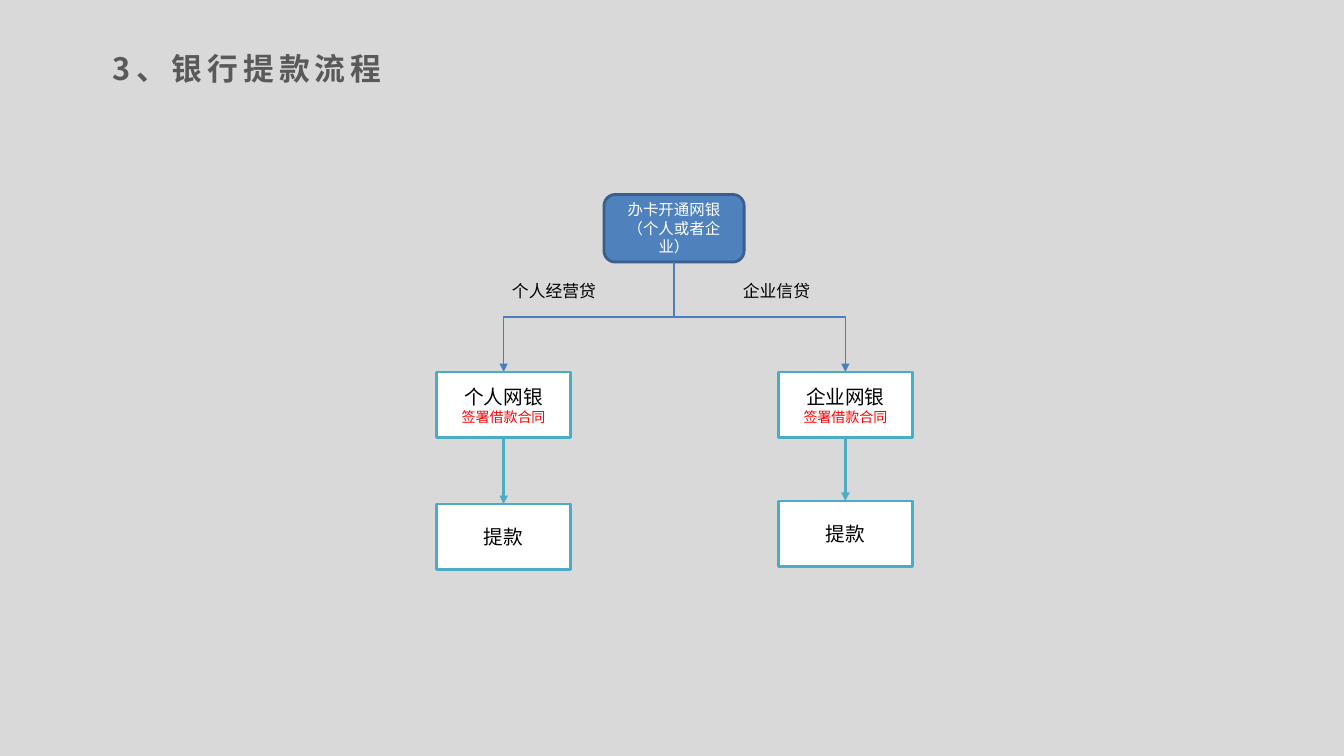
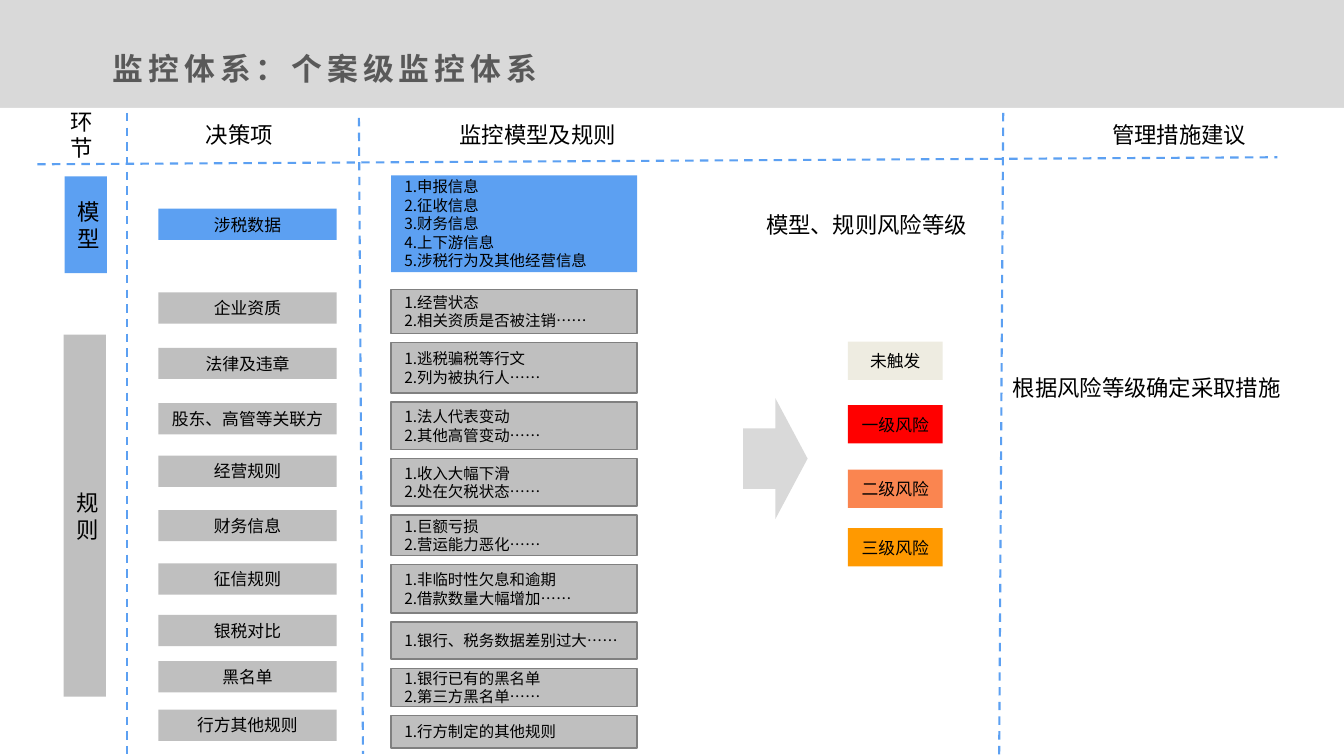
from lxml import etree
from pptx import Presentation
from pptx.dml.color import RGBColor
from pptx.enum.dml import MSO_LINE
from pptx.enum.shapes import MSO_CONNECTOR, MSO_SHAPE
from pptx.enum.text import MSO_ANCHOR, MSO_AUTO_SIZE, PP_ALIGN
from pptx.oxml.ns import qn
from pptx.util import Emu, Pt

RECT = MSO_SHAPE.RECTANGLE
PROCESS = MSO_SHAPE.FLOWCHART_PROCESS
ROUNDED = MSO_SHAPE.FLOWCHART_ALTERNATE_PROCESS
RIGHT_ARROW = MSO_SHAPE.RIGHT_ARROW
STRAIGHT, ELBOW = MSO_CONNECTOR.STRAIGHT, MSO_CONNECTOR.ELBOW
LEFT, CENTER = PP_ALIGN.LEFT, PP_ALIGN.CENTER
TOP, MIDDLE = MSO_ANCHOR.TOP, MSO_ANCHOR.MIDDLE
BOTTOM_SITE, TOP_SITE = 2, 0

PX = 9144  # 100 px to the inch
SLIDE_W, SLIDE_H = 1333, 750
CJK, LATIN = "Noto Sans CJK SC", "Calibri"
BLACK, WHITE, RED = "000000", "FFFFFF", "FF0000"
BACKDROP, TITLE_GREY = "D9D9D9", "595959"
BLUE, GREY, GREY_EDGE = "5CA0F2", "BFBFBF", "808080"
START_FILL, START_EDGE, BRANCH_LINE, TEAL = "4F81BD", "3A5F8C", "4B7EBC", "4BACC6"
NARROW, WIDE = (10, 5), (13, 7)  # text insets: sides, top and bottom

# Withdrawal flow
FLOW_TITLE = "3、银行提款流程"
START = "办卡开通网银（个人或者企业）"
START_BOX = (599, 193, 139, 67)
SIGNING, WITHDRAWAL = "签署借款合同", "提款"
BRANCH_W, BRANCH_H, BANK_TOP = 133, 65, 369
# loan type, its left, online bank, branch left, withdrawal top
BRANCHES = [
    ("个人经营贷", 498, "个人网银", 433, 500),
    ("企业信贷", 727, "企业网银", 772, 497),
]

# Monitoring system
MONITOR_TITLE = "监控体系：个案级监控体系"
BODY_TOP = 107
HEADINGS = [
    ("环节", (46, 118, 70, 31)),
    ("决策项", (163, 117, 149, 32)),
    ("监控模型及规则", (415, 117, 237, 32)),
    ("模型、规则风险等级", (737, 206, 245, 34)),
    ("管理措施建议", (1049, 117, 241, 32)),
    ("根据风险等级确定采取措施", (971, 367, 333, 35)),
]
STAGES = [
    ("模型", (64, 175, 42, 96), BLUE),
    ("规则", (63, 332, 42, 359), GREY),
]
DIVIDERS = [
    (37, 163, 1267, 156),
    (126, 112, 126, 750),
    (356, 117, 360, 748),
    (995, 112, 991, 750),
]
DECISION_X, DECISION_W, DECISION_H = 157, 177, 31
CHECK_X, CHECK_W, CHECK_GAP = 388, 244, 9
MODEL = ("涉税数据", 207)
MODEL_TOP, MODEL_H = 174, 96
MODEL_DATA = ["申报信息", "征收信息", "财务信息", "上下游信息", "涉税行为及其他经营信息"]
CHECKS_TOP = 287
# decision item, its top, height of its checks, checks
RULES = [
    ("企业资质", 290, 44, ["经营状态", "相关资质是否被注销……"]),
    ("法律及违章", 345, 50, ["逃税骗税等行文", "列为被执行人……"]),
    ("股东、高管等关联方", 400, 47, ["法人代表变动", "其他高管变动……"]),
    ("经营规则", 452, 47, ["收入大幅下滑", "处在欠税状态……"]),
    ("财务信息", 506, 40, ["巨额亏损", "营运能力恶化……"]),
    ("征信规则", 559, 48, ["非临时性欠息和逾期", "借款数量大幅增加……"]),
    ("银税对比", 610, 37, ["银行、税务数据差别过大……"]),
    ("黑名单", 656, 38, ["银行已有的黑名单", "第三方黑名单……"]),
    ("行方其他规则", 704, 32, ["行方制定的其他规则"]),
]
RISK_ARROW = (737, 395, 64, 120)
RISK_X, RISK_W, RISK_H = 841, 94, 38
RISK_LEVELS = [
    ("未触发", 339, "EEECE1"),
    ("一级风险", 402, RED),
    ("二级风险", 466, "FA8550"),
    ("三级风险", 524, "FF9900"),
]


def px(*lengths):
    return [Emu(round(length * PX)) for length in lengths]


def rgb(color):
    return RGBColor.from_string(color)


def style_font(font, name, size, color):
    font.name, font.size = name, Pt(size)
    font.color.rgb = rgb(color)


def set_east_asian(properties, name):
    """Name the East Asian font right after the Latin one."""
    latin = properties.find(qn("a:latin"))
    east_asian = etree.Element(qn("a:ea"), typeface=name)
    latin.addnext(east_asian)


def set_frame(frame, insets, anchor):
    frame.word_wrap = True
    frame.auto_size = MSO_AUTO_SIZE.NONE
    frame.vertical_anchor = anchor
    side, edge = px(*insets)
    frame.margin_left = frame.margin_right = side
    frame.margin_top = frame.margin_bottom = edge


def write(shape, lines, font=CJK, insets=WIDE, align=CENTER, anchor=MIDDLE):
    """Fill a shape with lines given as (text, size, colour)."""
    frame = shape.text_frame
    set_frame(frame, insets, anchor)
    for index, (text, size, color) in enumerate(lines):
        paragraph = frame.paragraphs[0] if index == 0 else frame.add_paragraph()
        paragraph.text = text
        paragraph.alignment = align
        style_font(paragraph.font, font, size, color)
        set_east_asian(paragraph._p.pPr.find(qn("a:defRPr")), font)


def add_box(slide, place, fill, edge=None, weight=1, kind=RECT):
    box = slide.shapes.add_shape(kind, *px(*place))
    box.shadow.inherit = False
    box.fill.solid()
    box.fill.fore_color.rgb = rgb(fill)
    if edge:
        box.line.color.rgb = rgb(edge)
        box.line.width = Pt(weight)
    else:
        box.line.fill.background()
    return box


def add_line(slide, ends, color, weight, kind=STRAIGHT, dashed=False, arrow=False):
    line = slide.shapes.add_connector(kind, *px(*ends))
    line.line.color.rgb = rgb(color)
    line.line.width = Pt(weight)
    if dashed:
        line.line.dash_style = MSO_LINE.DASH
    if arrow:
        etree.SubElement(line.line._get_or_add_ln(), qn("a:tailEnd"), type="triangle")
    etree.SubElement(line._element.spPr, qn("a:effectLst"))
    return line


def add_branch_line(slide, x1, y1, x2, y2):
    """Elbow arrow that leaves downwards: a sideways elbow turned a quarter."""
    mid_x, mid_y = (x1 + x2) / 2, (y1 + y2) / 2
    half_w, half_h = (y2 - y1) / 2, abs(x2 - x1) / 2
    goes_left = x2 < x1
    if not goes_left:
        half_w = -half_w
    ends = (mid_x - half_w, mid_y - half_h, mid_x + half_w, mid_y + half_h)
    line = add_line(slide, ends, BRANCH_LINE, 0.75, ELBOW, arrow=True)
    quarter_turns = 1 if goes_left else 3
    line._element.spPr.find(qn("a:xfrm")).set("rot", str(quarter_turns * 5400000))


def add_titled_slide(prs, text):
    slide = prs.slides.add_slide(prs.slide_layouts[5])
    title = slide.shapes.title
    title.left, title.top, title.width, title.height = px(100, 44, 1200, 47)
    set_frame(title.text_frame, (12, 6), MIDDLE)
    paragraph = title.text_frame.paragraphs[0]
    paragraph.alignment = LEFT
    run = paragraph.add_run()
    run.text = text
    style_font(run.font, CJK, 22, TITLE_GREY)
    run.font.bold = True
    properties = run._r.get_or_add_rPr()
    properties.set("spc", "360")
    set_east_asian(properties, CJK)
    return slide


def build_flow(prs):
    slide = add_titled_slide(prs, FLOW_TITLE)
    start = add_box(slide, START_BOX, START_FILL, START_EDGE, 2, ROUNDED)
    write(start, [(START, 11, WHITE)], LATIN, NARROW)
    left, top, width, height = START_BOX
    start_x, start_bottom = left + width / 2, top + height

    for loan, loan_left, bank, branch_left, withdrawal_top in BRANCHES:
        label = slide.shapes.add_textbox(*px(loan_left, 274, 136, 30))
        write(label, [(loan, 12, BLACK)], LATIN, NARROW, LEFT, TOP)
        add_branch_line(slide, start_x, start_bottom, branch_left + BRANCH_W / 2, BANK_TOP)
        steps = []
        for step_top, lines in (
            (BANK_TOP, [(bank, 14, BLACK), (SIGNING, 10, RED)]),
            (withdrawal_top, [(WITHDRAWAL, 14, BLACK)]),
        ):
            place = (branch_left, step_top, BRANCH_W, BRANCH_H)
            step = add_box(slide, place, WHITE, TEAL, 2, PROCESS)
            write(step, lines, LATIN, NARROW)
            steps.append(step)
        arrow = add_line(slide, (0, 0, 0, 0), TEAL, 2, arrow=True)
        arrow.begin_connect(steps[0], BOTTOM_SITE)
        arrow.end_connect(steps[1], TOP_SITE)


def add_decision(slide, text, top, fill):
    box = add_box(slide, (DECISION_X, top, DECISION_W, DECISION_H), fill)
    write(box, [(text, 12, BLACK)])


def add_checks(slide, checks, top, height, fill, edge=None):
    box = add_box(slide, (CHECK_X, top, CHECK_W, height), fill, edge)
    lines = [(f"{number}.{check}", 11, BLACK) for number, check in enumerate(checks, 1)]
    write(box, lines, align=LEFT)


def build_monitoring(prs):
    slide = add_titled_slide(prs, MONITOR_TITLE)
    add_box(slide, (0, BODY_TOP, SLIDE_W, SLIDE_H - BODY_TOP), WHITE)
    for ends in DIVIDERS:
        add_line(slide, ends, BLUE, 1.5, dashed=True)
    for text, place in HEADINGS:
        write(slide.shapes.add_textbox(*px(*place)), [(text, 16, BLACK)])
    for text, place, fill in STAGES:
        write(add_box(slide, place, fill), [(text, 16, BLACK)])

    add_decision(slide, *MODEL, BLUE)
    add_checks(slide, MODEL_DATA, MODEL_TOP, MODEL_H, BLUE)
    checks_top = CHECKS_TOP
    for decision, decision_top, height, checks in RULES:
        add_decision(slide, decision, decision_top, GREY)
        add_checks(slide, checks, checks_top, height, GREY, GREY_EDGE)
        checks_top += height + CHECK_GAP

    add_box(slide, RISK_ARROW, BACKDROP, kind=RIGHT_ARROW)
    for level, top, fill in RISK_LEVELS:
        write(add_box(slide, (RISK_X, top, RISK_W, RISK_H), fill), [(level, 12, BLACK)])


def main():
    prs = Presentation()
    prs.slide_width, prs.slide_height = px(SLIDE_W, SLIDE_H)
    backdrop = prs.slide_master.background.fill
    backdrop.solid()
    backdrop.fore_color.rgb = rgb(BACKDROP)
    build_flow(prs)
    build_monitoring(prs)
    prs.save("out.pptx")


if __name__ == "__main__":
    main()
